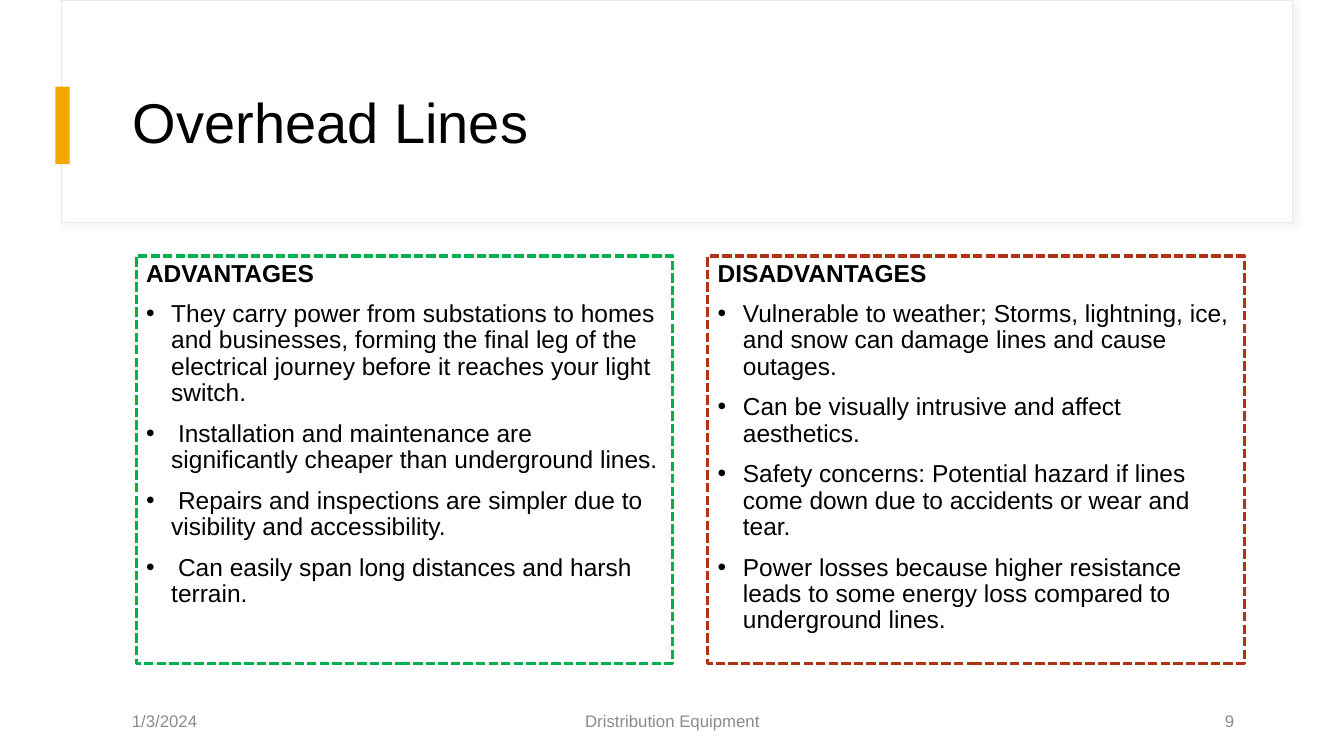
from dataclasses import dataclass

from lxml import etree
from pptx import Presentation
from pptx.dml.color import RGBColor
from pptx.enum.dml import MSO_LINE_DASH_STYLE as Dash
from pptx.enum.shapes import MSO_SHAPE as Preset
from pptx.enum.text import MSO_ANCHOR as Anchor, PP_ALIGN as Align
from pptx.oxml import parse_xml
from pptx.oxml.ns import nsdecls, qn
from pptx.shapes.autoshape import Shape
from pptx.slide import Slide
from pptx.text.text import _Paragraph as Paragraph
from pptx.util import Inches, Pt

FONT = "Arial"
BLACK, WHITE, GREY = "000000", "FFFFFF", "8C8C8C"
AMBER, GREEN, RED = "F5A700", "00B050", "B23214"


@dataclass
class Box:
    left: float
    top: float
    width: float
    height: float

    def lengths(self) -> list[int]:
        return [Inches(v) for v in (self.left, self.top, self.width, self.height)]


@dataclass
class Panel:
    left: float
    colour: str
    heading: str
    points: list[str]


@dataclass
class Label:
    text: str
    box: Box
    size: float
    colour: str
    align: Align


PANELS = [
    Panel(7.02, RED, "DISADVANTAGES", [
        "Vulnerable to weather; Storms, lightning, ice, and snow can damage lines and cause outages.",
        "Can be visually intrusive and affect aesthetics.",
        "Safety concerns: Potential hazard if lines come down due to accidents or wear and tear.",
        "Power losses because higher resistance leads to some energy loss compared to underground lines.",
    ]),
    Panel(1.35, GREEN, "ADVANTAGES", [
        "They carry power from substations to homes and businesses, forming the final leg "
        "of the electrical journey before it reaches your light switch.",
        " Installation and maintenance are significantly cheaper than underground lines.",
        " Repairs and inspections are simpler due to visibility and accessibility.",
        " Can easily span long distances and harsh terrain.",
    ]),
]

LABELS = [
    Label("Overhead Lines", Box(1.22, 0.6, 11.12, 1.29), 40, BLACK, Align.LEFT),
    Label("1/3/2024", Box(1.21, 6.95, 3, 0.4), 12, GREY, Align.LEFT),
    Label("Dristribution Equipment", Box(4.42, 6.95, 4.5, 0.4), 12, GREY, Align.CENTER),
    Label("9", Box(9.34, 6.95, 3, 0.4), 12, GREY, Align.RIGHT),
]


def rgb(colour: str) -> RGBColor:
    return RGBColor.from_string(colour)


def add_rect(slide: Slide, box: Box, fill: str | None = None,
             line: str | None = None, weight: float = 0.75) -> Shape:
    rect = slide.shapes.add_shape(Preset.RECTANGLE, *box.lengths())
    rect.shadow.inherit = False
    if fill:
        rect.fill.solid()
        rect.fill.fore_color.rgb = rgb(fill)
    else:
        rect.fill.background()
    if line:
        rect.line.color.rgb = rgb(line)
        rect.line.width = Pt(weight)
    else:
        rect.line.fill.background()
    return rect


def add_soft_shadow(shape: Shape) -> None:
    effects = shape.element.spPr.find(qn("a:effectLst"))
    effects.append(parse_xml(
        f'<a:outerShdw {nsdecls("a")} blurRad="{Pt(4)}" dist="{Pt(3)}" dir="2700000" '
        'algn="tl" rotWithShape="0"><a:srgbClr val="D9D9D9"><a:alpha val="30000"/>'
        "</a:srgbClr></a:outerShdw>"))


def add_run(paragraph: Paragraph, text: str, size: float, colour: str,
            bold: bool = False) -> None:
    run = paragraph.add_run()
    run.text = text
    run.font.name = FONT
    run.font.size = Pt(size)
    run.font.bold = bold
    run.font.color.rgb = rgb(colour)


def add_bullet(paragraph: Paragraph) -> None:
    properties = paragraph._p.get_or_add_pPr()
    properties.set("marL", str(Inches(0.25)))
    properties.set("indent", str(-Inches(0.25)))
    etree.SubElement(properties, qn("a:buFont")).set("typeface", FONT)
    etree.SubElement(properties, qn("a:buChar")).set("char", "•")


def add_panel(slide: Slide, panel: Panel) -> None:
    frame = add_rect(slide, Box(panel.left, 2.54, 5.32, 4.04), line=panel.colour, weight=2.25)
    frame.line.dash_style = Dash.SQUARE_DOT
    body = frame.text_frame
    body.word_wrap = True
    body.vertical_anchor = Anchor.TOP
    for index, text in enumerate([panel.heading, *panel.points]):
        paragraph = body.add_paragraph() if index else body.paragraphs[0]
        paragraph.alignment = Align.LEFT
        paragraph.line_spacing = 0.9
        paragraph.space_before = Pt(10)
        if index:
            add_bullet(paragraph)
        add_run(paragraph, text, 17.5, BLACK, bold=index == 0)


def add_label(slide: Slide, label: Label) -> None:
    body = slide.shapes.add_textbox(*label.box.lengths()).text_frame
    body.word_wrap = True
    body.vertical_anchor = Anchor.MIDDLE
    paragraph = body.paragraphs[0]
    paragraph.alignment = label.align
    if label.size > 12:
        paragraph.line_spacing = 0.9
    add_run(paragraph, label.text, label.size, label.colour)


def main() -> None:
    deck = Presentation()
    deck.slide_width, deck.slide_height = Inches(13.33), Inches(7.5)
    slide = deck.slides.add_slide(deck.slide_layouts[6])

    # Header band with accent bar
    add_soft_shadow(add_rect(slide, Box(0.61, 0, 12.21, 2.21), WHITE, "E9E9E9"))
    add_rect(slide, Box(0.55, 0.86, 0.14, 0.77), AMBER)

    # Dashed comparison panels
    for panel in PANELS:
        add_panel(slide, panel)

    # Title and footer
    for label in LABELS:
        add_label(slide, label)

    deck.save("out.pptx")


if __name__ == "__main__":
    main()
